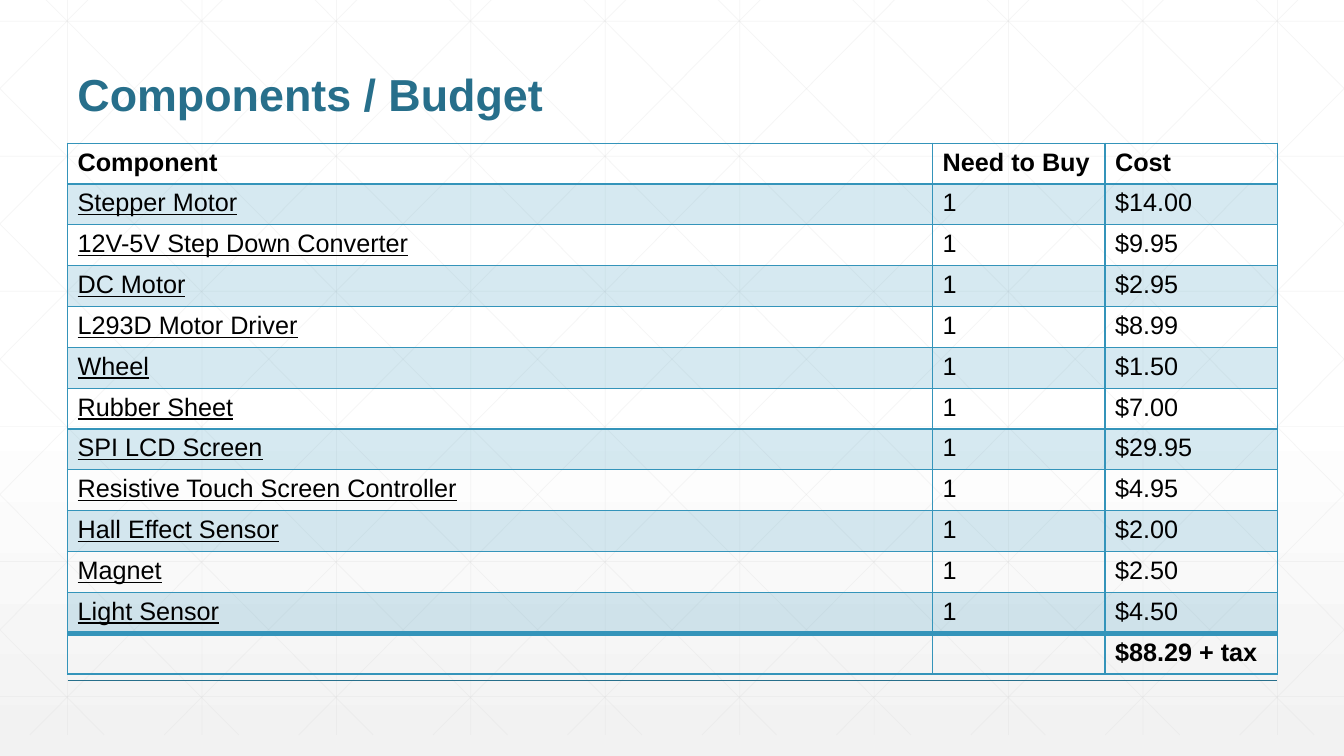
from copy import deepcopy
from dataclasses import dataclass

from lxml.etree import SubElement
from pptx import Presentation
from pptx.dml.color import RGBColor
from pptx.enum.shapes import MSO_CONNECTOR
from pptx.enum.text import MSO_ANCHOR
from pptx.oxml.ns import qn
from pptx.util import Inches, Pt


@dataclass(frozen=True)
class Theme:
    font: str = "Arial"
    title: str = "276F8B"
    accent: str = "3494BA"
    text: str = "000000"
    grid: str = "D9D9D9"
    backdrop: tuple = ((0, "FFFFFF"), (0.53, "FFFFFF"), (1, "F2F2F2"))
    title_size: int = 32
    table_size: int = 18


theme = Theme()
WIDTH, HEIGHT = 13.33, 7.5
MARGIN, CONTENT_WIDTH = 0.67, 12
GRID_TOP, GRID_BOTTOM, GRID_STEP = -0.21, 7.29, 4 / 3
DIAGONAL_START, DIAGONAL_RUN = 0.25, 7.45

deck = Presentation()
deck.slide_width, deck.slide_height = Inches(WIDTH), Inches(HEIGHT)
slide = deck.slides.add_slide(deck.slide_layouts[6])

backdrop = slide.background.fill
backdrop.gradient()
backdrop.gradient_angle = 270
stop_list = slide.element.find(".//" + qn("a:gsLst"))
stop_list.insert(1, deepcopy(stop_list[0]))
for stop, (position, color) in zip(backdrop.gradient_stops, theme.backdrop):
    stop.position = position
    stop.color.rgb = RGBColor.from_string(color)


def draw_line(start, end, color, weight, opacity=100):
    line = slide.shapes.add_connector(
        MSO_CONNECTOR.STRAIGHT, *[Inches(value) for value in (*start, *end)]
    )
    line.line.color.rgb = RGBColor.from_string(color)
    line.line.width = Pt(weight)
    properties = line.element.spPr
    SubElement(properties.find(".//" + qn("a:srgbClr")), qn("a:alpha"), val=str(opacity * 1000))
    SubElement(properties, qn("a:effectLst"))


def set_border(cell, side, weight):
    border = SubElement(cell._tc.get_or_add_tcPr(), qn(f"a:ln{side}"), w=str(Pt(weight)))
    SubElement(SubElement(border, qn("a:solidFill")), qn("a:srgbClr"), val=theme.accent)
    SubElement(border, qn("a:prstDash"), val="solid")


grid_lines = []
for column in range(10):
    x = MARGIN + column * GRID_STEP
    grid_lines.append(((x, GRID_TOP), (x, GRID_BOTTOM)))
for row in range(6):
    y = 0.21 + row * 1.34
    grid_lines.append(((0, y), (WIDTH, y)))
slope = (GRID_BOTTOM - GRID_TOP) / DIAGONAL_RUN
for step in range(-5, 10):
    x = DIAGONAL_START + step * GRID_STEP
    left, right = max(x, 0), min(x + DIAGONAL_RUN, WIDTH)
    top, bottom = [GRID_TOP + (edge - x) * slope for edge in (left, right)]
    grid_lines.append(((left, top), (right, bottom)))
    grid_lines.append(((WIDTH - left, top), (WIDTH - right, bottom)))
for start, end in grid_lines:
    draw_line(start, end, theme.grid, 0.5, opacity=25)

draw_line((MARGIN, 6.75), (MARGIN + CONTENT_WIDTH, 6.75), theme.title, 1)

title = slide.shapes.add_textbox(
    Inches(MARGIN), Inches(0.25), Inches(CONTENT_WIDTH), Inches(1)
).text_frame
title.word_wrap = True
title.vertical_anchor = MSO_ANCHOR.BOTTOM
heading = title.paragraphs[0]
heading.text = "Components / Budget"
heading.line_spacing = 0.9
heading.font.name = theme.font
heading.font.size = Pt(theme.title_size)
heading.font.bold = True
heading.font.color.rgb = RGBColor.from_string(theme.title)

components = [
    ("Stepper Motor", "$14.00"),
    ("12V-5V Step Down Converter", "$9.95"),
    ("DC Motor", "$2.95"),
    ("L293D Motor Driver", "$8.99"),
    ("Wheel", "$1.50"),
    ("Rubber Sheet", "$7.00"),
    ("SPI LCD Screen", "$29.95"),
    ("Resistive Touch Screen Controller", "$4.95"),
    ("Hall Effect Sensor", "$2.00"),
    ("Magnet", "$2.50"),
    ("Light Sensor", "$4.50"),
]
budget_rows = [
    ("Component", "Need to Buy", "Cost"),
    *[(name, "1", cost) for name, cost in components],
    ("", "", "$88.29 + tax"),
]
total_row = len(budget_rows) - 1
rule_weights = {1: 2, total_row: 4}

budget = slide.shapes.add_table(
    len(budget_rows), 3, Inches(MARGIN), Inches(1.42), Inches(CONTENT_WIDTH), Inches(5.27)
).table
budget.first_row = budget.horz_banding = False
for column, width in zip(budget.columns, (8.58, 1.71, 1.71)):
    column.width = Inches(width)

for row, values in enumerate(budget_rows):
    is_component = 0 < row < total_row
    for column, value in enumerate(values):
        cell = budget.cell(row, column)
        set_border(cell, "L", 1)
        set_border(cell, "R", 1)
        set_border(cell, "T", rule_weights.get(row, 1))
        set_border(cell, "B", rule_weights.get(row + 1, 1))
        if is_component and row % 2:
            cell.fill.solid()
            cell.fill.fore_color.rgb = RGBColor.from_string(theme.accent)
            tint = cell._tc.tcPr.find(qn("a:solidFill")).find(qn("a:srgbClr"))
            SubElement(tint, qn("a:alpha"), val="20000")
        else:
            cell.fill.background()
        entry = cell.text_frame.paragraphs[0]
        entry.text = value
        entry.font.name = theme.font
        entry.font.size = Pt(theme.table_size)
        entry.font.bold = not is_component
        entry.font.underline = is_component and column == 0
        entry.font.color.rgb = RGBColor.from_string(theme.text)

deck.save("out.pptx")
